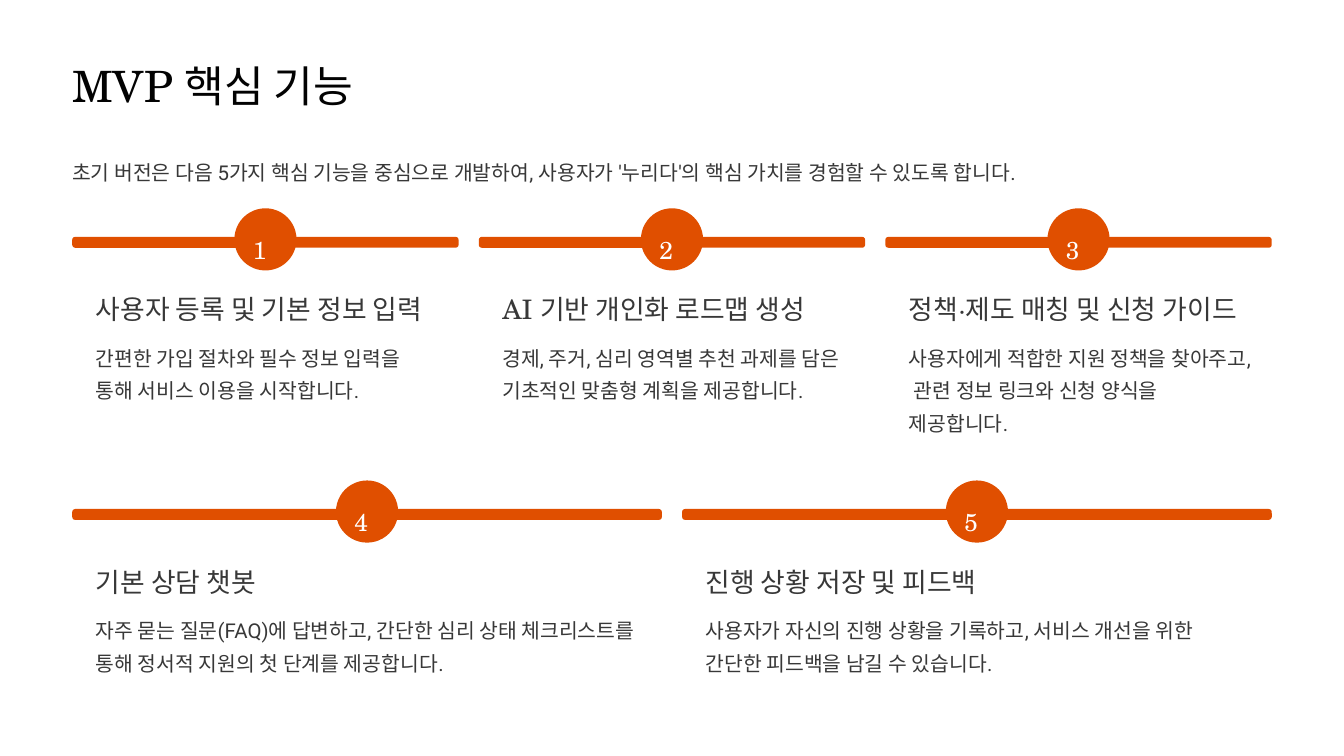
from dataclasses import dataclass

from pptx import Presentation
from pptx.dml.color import RGBColor
from pptx.enum import shapes, text
from pptx.util import Inches, Pt

PAGE_WIDTH, PAGE_HEIGHT = 16, 9
MARGIN, GAP = 0.86, 0.24
CONTENT_WIDTH = PAGE_WIDTH - 2 * MARGIN
FIRST_ROW, ROW_STEP = 2.82, 3.24
BAR_HEIGHT, BADGE_SIZE, PADDING = 0.13, 0.74, 0.28
ORANGE, DARK, BLACK, WHITE = "E04F00", "383838", "020202", "FFFFFF"
SERIF, SANS = "TeX Gyre Schola", "Roboto"


@dataclass(frozen=True)
class Style:
    font: str
    size: float
    leading: float
    color: str


@dataclass(frozen=True)
class Feature:
    heading: str
    body: str


TITLE = Style(SERIF, 37, 46, BLACK)
HEADING = Style(SERIF, 23, 29, DARK)
BODY = Style(SANS, 17.5, 28, DARK)
NUMBER = Style(SERIF, 21, 34, WHITE)

FEATURE_ROWS = [
    [
        Feature("사용자 등록 및 기본 정보 입력",
                "간편한 가입 절차와 필수 정보 입력을 통해 서비스 이용을 시작합니다."),
        Feature("AI 기반 개인화 로드맵 생성",
                "경제, 주거, 심리 영역별 추천 과제를 담은 기초적인 맞춤형 계획을 제공합니다."),
        Feature("정책·제도 매칭 및 신청 가이드",
                "사용자에게 적합한 지원 정책을 찾아주고, 관련 정보 링크와 신청 양식을 제공합니다."),
    ],
    [
        Feature("기본 상담 챗봇",
                "자주 묻는 질문(FAQ)에 답변하고, 간단한 심리 상태 체크리스트를 통해 정서적 지원의 첫 단계를 제공합니다."),
        Feature("진행 상황 저장 및 피드백",
                "사용자가 자신의 진행 상황을 기록하고, 서비스 개선을 위한 간단한 피드백을 남길 수 있습니다."),
    ],
]


def rgb(value: str) -> RGBColor:
    return RGBColor.from_string(value)


def write(box, content: str, style: Style, wrap: bool = False) -> None:
    frame = box.text_frame
    frame.margin_left = frame.margin_top = frame.margin_right = frame.margin_bottom = 0
    frame.auto_size = text.MSO_AUTO_SIZE.NONE
    frame.vertical_anchor = text.MSO_ANCHOR.TOP
    frame.word_wrap = wrap
    para = frame.paragraphs[0]
    para.alignment = text.PP_ALIGN.LEFT
    para.line_spacing = Pt(style.leading)
    para.space_before = Pt(0)
    span = para.add_run()
    span.text = content
    span.font.name = style.font
    span.font.size = Pt(style.size)
    span.font.color.rgb = rgb(style.color)


def add_text(page, left: float, top: float, width: float, height: float,
             content: str, style: Style, wrap: bool = False) -> None:
    box = page.shapes.add_textbox(Inches(left), Inches(top), Inches(width), Inches(height))
    write(box, content, style, wrap)


def add_solid(page, kind, left: float, top: float, width: float, height: float):
    solid = page.shapes.add_shape(kind, Inches(left), Inches(top), Inches(width), Inches(height))
    solid.shadow.inherit = False
    solid.fill.solid()
    solid.fill.fore_color.rgb = rgb(ORANGE)
    solid.line.fill.background()
    return solid


def add_feature(page, feature: Feature, number: int, left: float, top: float, width: float) -> None:
    bar = add_solid(page, shapes.MSO_SHAPE.ROUNDED_RECTANGLE, left, top, width, BAR_HEIGHT)
    bar.adjustments[0] = 0.28
    badge_left = left + (width - BADGE_SIZE) / 2
    add_solid(page, shapes.MSO_SHAPE.OVAL, badge_left, top - 0.34, BADGE_SIZE, BADGE_SIZE)
    add_text(page, badge_left + 0.22, top - 0.15, 0.3, 0.37, str(number), NUMBER)
    inner_left, inner_width = left + PADDING, width - 2 * PADDING
    add_text(page, inner_left, top + 0.65, inner_width, 0.4, feature.heading, HEADING)
    add_text(page, inner_left, top + 1.2, inner_width, 1.18, feature.body, BODY, wrap=True)


def main() -> None:
    deck = Presentation()
    deck.slide_width, deck.slide_height = Inches(PAGE_WIDTH), Inches(PAGE_HEIGHT)
    page = deck.slides.add_slide(deck.slide_layouts.get_by_name("Title Only"))

    title = page.shapes.title
    title.left, title.top = Inches(MARGIN), Inches(0.68)
    title.width, title.height = Inches(CONTENT_WIDTH), Inches(0.65)
    write(title, "MVP 핵심 기능", TITLE)
    add_text(page, MARGIN, 1.81, CONTENT_WIDTH, 0.39,
             "초기 버전은 다음 5가지 핵심 기능을 중심으로 개발하여, 사용자가 '누리다'의 핵심 가치를 경험할 수 있도록 합니다.", BODY)

    number = 0
    for row, features in enumerate(FEATURE_ROWS):
        width = (CONTENT_WIDTH - GAP * (len(features) - 1)) / len(features)
        for column, feature in enumerate(features):
            number += 1
            add_feature(page, feature, number, MARGIN + column * (width + GAP),
                        FIRST_ROW + row * ROW_STEP, width)

    deck.save("out.pptx")


if __name__ == "__main__":
    main()
